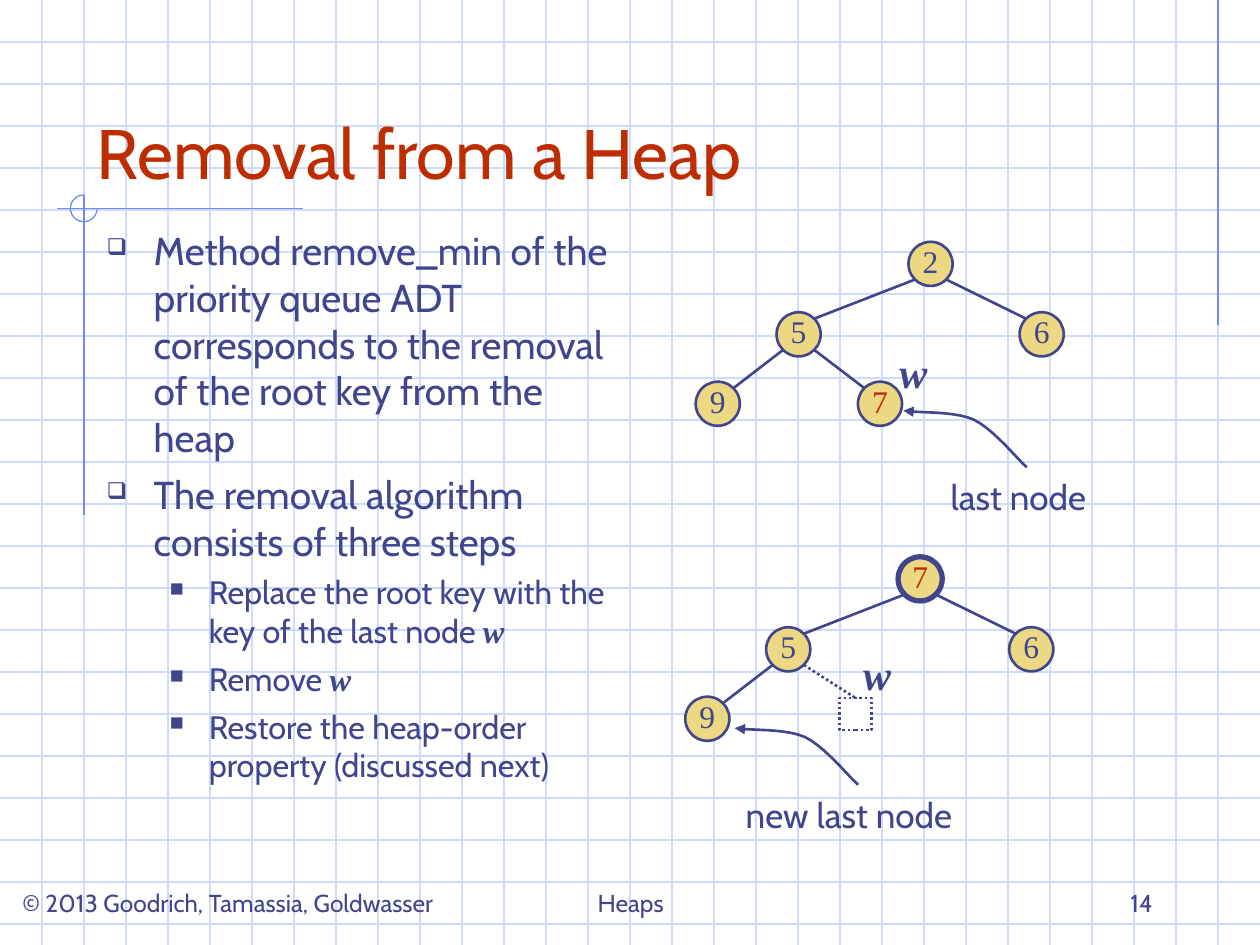
from lxml.etree import SubElement
from pptx import Presentation
from pptx.dml.color import RGBColor
from pptx.enum.dml import MSO_LINE
from pptx.enum.shapes import MSO_CONNECTOR, MSO_SHAPE
from pptx.enum.text import MSO_ANCHOR, PP_ALIGN
from pptx.oxml.ns import qn
from pptx.util import Cm, Pt

INK, RED, GOLD = "40458C", "BE2D00", "ECD882"
PALE, BLUE, WHITE = "CFDBFD", "6F89F7", "FFFFFF"
WIDE, HIGH, STEP = 25.4, 19.05, 2.54 / 3
SIZE = 0.89
EDGE = SIZE / 2 * 0.71

SANS = {"name": "Cabin", "bold": False, "italic": False}
SERIF = {"name": "Times New Roman", "bold": False, "italic": False}
STRONG = {"name": "Times New Roman", "bold": True, "italic": True}

SPOTS = {"root": (18.76, 5.32), "left": (16.1, 6.74), "right": (21, 6.74),
         "low": (14.47, 8.14), "last": (17.74, 8.14)}
CURVE = [(20.7, 9.42), (20.52, 9.27), (20.04, 8.66), (19.63, 8.46),
         (19.23, 8.28), (18.49, 8.33), (18.21, 8.28)]

POINTS = [
    (0, [("Method remove_min of the priority queue ADT corresponds to "
          "the removal of the root key from the heap", SANS)]),
    (0, [("The removal algorithm consists of three steps", SANS)]),
    (1, [("Replace the root key with the key of the last node ", SANS),
         ("w", STRONG)]),
    (1, [("Remove ", SANS), ("w", STRONG)]),
    (1, [("Restore the heap-order property (discussed next)", SANS)]),
]
LEVELS = [
    {"char": "❑", "size": 22.2, "gap": 6, "left": 0.95, "hang": 0.95},
    {"char": "■", "size": 18.5, "gap": 5, "left": 2.06, "hang": 0.79},
]


def paint(code):
    return RGBColor.from_string(code)


def style(font, form, size, color):
    for key, value in form.items():
        setattr(font, key, value)
    font.size = Pt(size)
    font.color.rgb = paint(color)


def stroke(shape, color, width, dash=None):
    shape.line.color.rgb = paint(color)
    shape.line.width = Pt(width)
    if dash:
        shape.line.dash_style = dash


def draw_line(slide, start, end, color=INK, width=1.5, dash=None):
    line = slide.shapes.add_connector(
        MSO_CONNECTOR.STRAIGHT, *[Cm(n) for n in (*start, *end)])
    stroke(line, color, width, dash)
    SubElement(line._element.spPr, qn("a:effectLst"))
    return line


def add_shape(slide, kind, box, fill=None, color=INK, width=1.5, dash=None):
    shape = slide.shapes.add_shape(kind, *[Cm(n) for n in box])
    shape.shadow.inherit = False
    if fill:
        shape.fill.solid()
        shape.fill.fore_color.rgb = paint(fill)
    else:
        shape.fill.background()
    stroke(shape, color, width, dash)
    return shape


def add_text(slide, box, text, size, form=SANS, color=INK, wrap=True,
             align=PP_ALIGN.LEFT, anchor=MSO_ANCHOR.BOTTOM):
    frame = slide.shapes.add_textbox(*[Cm(n) for n in box]).text_frame
    frame.word_wrap = wrap
    frame.vertical_anchor = anchor
    para = frame.paragraphs[0]
    para.alignment = align
    run = para.add_run()
    run.text = text
    style(run.font, form, size, color)


def add_label(slide, box, text, size=20, form=SANS):
    add_text(slide, box, text, size, form, wrap=False,
             align=PP_ALIGN.CENTER, anchor=MSO_ANCHOR.TOP)


def add_node(slide, spot, key, color=INK, width=1.5):
    x, y = spot
    node = add_shape(slide, MSO_SHAPE.OVAL,
                     (x - SIZE / 2, y - SIZE / 2, SIZE, SIZE), GOLD, width=width)
    frame = node.text_frame
    frame.word_wrap = False
    frame.vertical_anchor = MSO_ANCHOR.MIDDLE
    for side in ("left", "right", "top"):
        setattr(frame, "margin_" + side, 0)
    frame.margin_bottom = Cm(0.13)
    para = frame.paragraphs[0]
    para.alignment = PP_ALIGN.CENTER
    run = para.add_run()
    run.text = key
    style(run.font, SERIF, 18, color)


def add_edge(slide, top, low):
    shift = EDGE if low[0] > top[0] else -EDGE
    draw_line(slide, (top[0] + shift, top[1] + EDGE),
              (low[0] - shift, low[1] - EDGE))


def bend(a, b, c, d, t):
    s = 1 - t
    return tuple(s**3 * p + 3 * s * s * t * q + 3 * s * t * t * r + t**3 * u
                 for p, q, r, u in zip(a, b, c, d))


def add_curve(slide, dx, dy):
    dots = [CURVE[0]]
    for first in (0, 3):
        part = CURVE[first:first + 4]
        dots += [bend(*part, n / 10) for n in range(1, 11)]
    dots = [(Cm(x + dx), Cm(y + dy)) for x, y in dots]
    build = slide.shapes.build_freeform(*dots[0])
    build.add_line_segments(dots[1:], close=False)
    curve = build.convert_to_shape()
    curve.shadow.inherit = False
    curve.fill.background()
    stroke(curve, INK, 1.5)
    SubElement(curve.line._get_or_add_ln(), qn("a:tailEnd"), type="triangle")


def add_bullet(para, level):
    props = para._p.get_or_add_pPr()
    props.set("marL", str(Cm(level["left"])))
    props.set("indent", str(-Cm(level["hang"])))
    tint = SubElement(props, qn("a:buClr"))
    SubElement(tint, qn("a:srgbClr"), val=INK)
    SubElement(props, qn("a:buSzPct"), val="60000")
    SubElement(props, qn("a:buChar"), char=level["char"])


def add_body(slide):
    box = slide.shapes.add_textbox(Cm(1.9), Cm(4.45), Cm(10.8), Cm(12.7))
    frame = box.text_frame
    frame.word_wrap = True
    for index, (depth, parts) in enumerate(POINTS):
        para = frame.add_paragraph() if index else frame.paragraphs[0]
        level = LEVELS[depth]
        para.level = depth
        add_bullet(para, level)
        para.space_before = Pt(level["gap"] if index else 0)
        for text, form in parts:
            run = para.add_run()
            run.text = text
            style(run.font, form, level["size"], INK)


def add_grid(slide):
    for n in range(1, 23):
        draw_line(slide, (0, n * STEP), (WIDE, n * STEP), PALE, 0.75)
    for n in range(1, 30):
        draw_line(slide, (n * STEP, 0), (n * STEP, HIGH), PALE, 0.75)
    draw_line(slide, (29 * STEP, 0), (29 * STEP, 6.55), BLUE, 0.75)
    draw_line(slide, (6.1, 4.21), (1.14, 4.21), BLUE, 0.75)
    draw_line(slide, (2 * STEP, 3.93), (2 * STEP, 10.39), BLUE, 0.75)
    arc = add_shape(slide, MSO_SHAPE.ARC, (1.42, 3.93, 0.54, 0.54),
                    color=BLUE, width=0.75)
    arc.adjustments[0] = 0
    arc.adjustments[1] = 162


def add_tree(slide, keys, dx=0, dy=0, width=1.5):
    spots = {name: (x + dx, y + dy) for name, (x, y) in SPOTS.items()}
    for top, low in (("root", "left"), ("root", "right"),
                     ("left", "low"), ("left", "last")):
        if low in keys:
            add_edge(slide, spots[top], spots[low])
    for name, key in keys.items():
        add_node(slide, spots[name], key, RED if key == "7" else INK,
                 width if name == "root" else 1.5)
    return spots


def main():
    deck = Presentation()
    deck.slide_width, deck.slide_height = Cm(WIDE), Cm(HIGH)
    slide = deck.slides.add_slide(deck.slide_layouts[6])
    add_grid(slide)
    add_text(slide, (1.7, 0.85, 22.22, 3.17), "Removal from a Heap", 40, color=RED)
    add_body(slide)

    add_tree(slide, {"root": "2", "left": "5", "right": "6",
                     "low": "9", "last": "7"})
    add_curve(slide, 0, 0)
    add_label(slide, (18.75, 9.47, 3.56, 1.11), "last node")
    add_label(slide, (17.88, 6.86, 1.07, 1.27), "w", 24, STRONG)

    spots = add_tree(slide, {"root": "7", "left": "5", "right": "6", "low": "9"},
                     -0.21, 6.35, 3)
    gone = add_shape(slide, MSO_SHAPE.RECTANGLE, (16.92, 14.07, 0.65, 0.65),
                     WHITE, dash=MSO_LINE.ROUND_DOT)
    x, y = spots["left"]
    link = draw_line(slide, (x + EDGE, y + EDGE), (17.24, 14.07),
                     dash=MSO_LINE.ROUND_DOT)
    link.end_connect(gone, 0)
    add_curve(slide, -3.4, 6.4)
    add_label(slide, (14.55, 15.88, 5.13, 1.11), "new last node")
    add_label(slide, (17.15, 12.95, 1.07, 1.27), "w", 24, STRONG)

    for left, wide, text, align in (
            (0.2, 10.36, "© 2013 Goodrich, Tamassia, Goldwasser", PP_ALIGN.LEFT),
            (8.69, 8.05, "Heaps", PP_ALIGN.CENTER),
            (18.21, 5.28, "14", PP_ALIGN.RIGHT)):
        add_text(slide, (left, 17.35, wide, 1.27), text, 14, align=align)
    deck.save("out.pptx")


if __name__ == "__main__":
    main()
